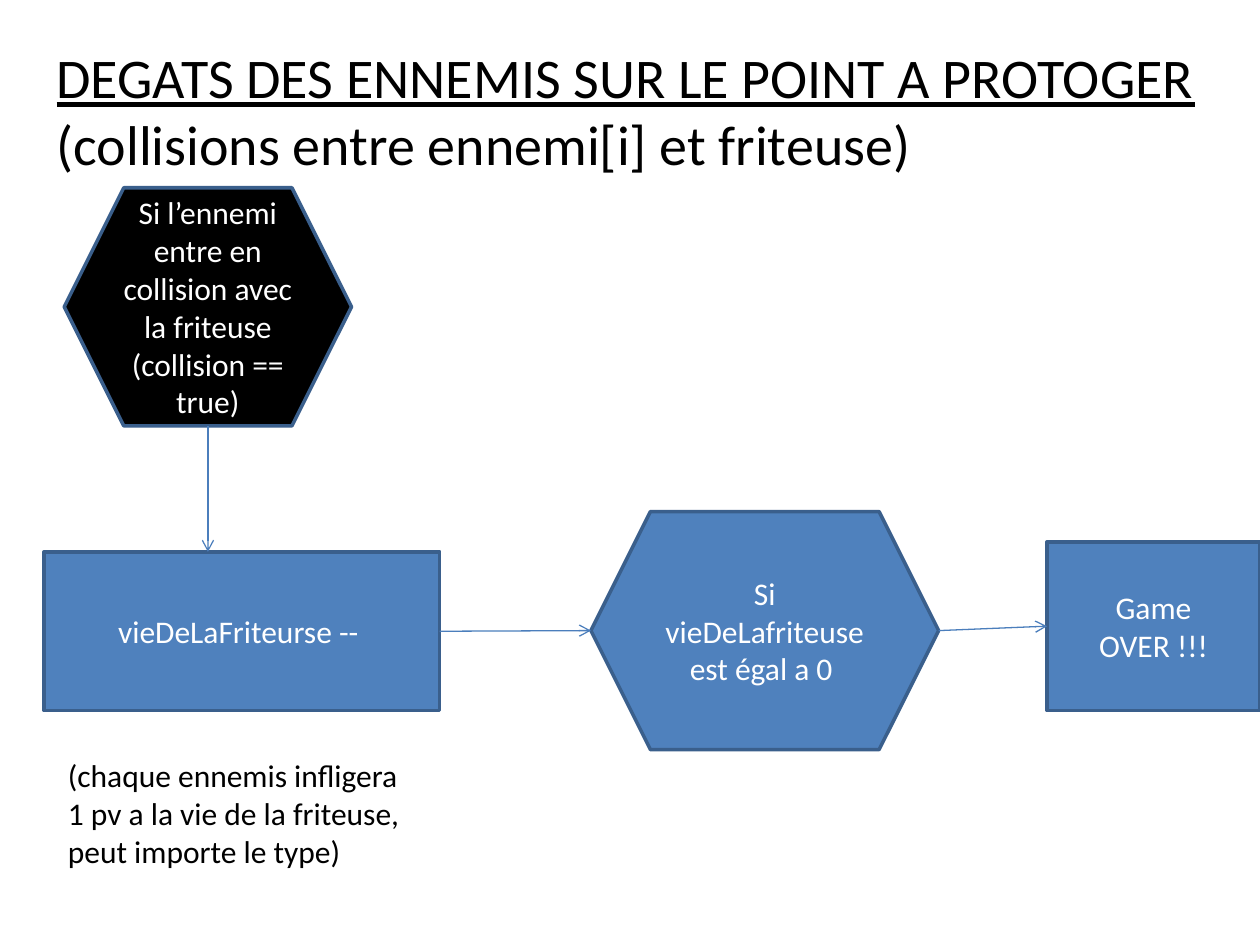
from pptx import Presentation
from pptx.util import Inches, Pt
from pptx.dml.color import RGBColor
from pptx.enum.shapes import MSO_SHAPE, MSO_CONNECTOR
from pptx.enum.text import PP_ALIGN, MSO_ANCHOR, MSO_AUTO_SIZE
from pptx.oxml.ns import qn
from lxml.etree import SubElement

BLUE, EDGE, LINK = "4F81BD", "3A5F8C", "4B7EBC"
HEX, RECT = MSO_SHAPE.HEXAGON, MSO_SHAPE.RECTANGLE

NODES = [
    (HEX, (0.51, 1.49, 2.28, 1.89), "000000",
     ["Si l’ennemi entre en collision avec la friteuse", "(collision == true)"]),
    (RECT, (0.35, 4.38, 3.14, 1.26), BLUE, ["vieDeLaFriteurse -- "]),
    (HEX, (4.69, 4.06, 2.76, 1.89), BLUE, ["Si vieDeLafriteuse est égal a 0 "]),
    (RECT, (8.31, 4.3, 1.69, 1.34), BLUE, ["Game OVER !!!"]),
]
TEXTS = [
    ((0.35, 0.29, 9.32, 1.18), 32, False,
     [("DEGATS DES ENNEMIS SUR LE POINT A PROTOGER", True),
      ("(collisions entre ennemi[i] et friteuse)", False)]),
    ((0.44, 5.95, 2.98, 1.01), 18, True,
     [("(chaque ennemis infligera 1 pv a la vie de la friteuse, "
       "peut importe le type)", False)]),
]


def color(code):
    return RGBColor.from_string(code)


def apply(item, **form):
    for key, val in form.items():
        setattr(item, key, val)


def write(frame, lines, size, ink, align):
    for i, (text, under) in enumerate(lines):
        para = frame.add_paragraph() if i else frame.paragraphs[0]
        para.alignment = align
        run = para.add_run()
        run.text = text
        apply(run.font, name="Calibri", size=Pt(size), underline=under)
        run.font.color.rgb = color(ink)


def node(kind, box, fill, lines):
    shape = slide.shapes.add_shape(kind, *map(Inches, box))
    shape.shadow.inherit = False
    shape.fill.solid()
    shape.fill.fore_color.rgb = color(fill)
    shape.line.color.rgb = color(EDGE)
    shape.line.width = Pt(2)
    apply(shape.text_frame, word_wrap=True, vertical_anchor=MSO_ANCHOR.MIDDLE)
    write(shape.text_frame, [(t, False) for t in lines], 18, "FFFFFF", PP_ALIGN.CENTER)


def arrow(start, end):
    link = slide.shapes.add_connector(
        MSO_CONNECTOR.STRAIGHT, *map(Inches, start + end))
    link.line.color.rgb = color(LINK)
    link.line.width = Pt(0.75)
    SubElement(link.line._get_or_add_ln(), qn("a:tailEnd"), type="arrow")
    SubElement(link._element.spPr, qn("a:effectLst"))


def label(box, size, wrap, lines):
    frame = slide.shapes.add_textbox(*map(Inches, box)).text_frame
    apply(frame, word_wrap=wrap, auto_size=MSO_AUTO_SIZE.SHAPE_TO_FIT_TEXT)
    write(frame, lines, size, "000000", PP_ALIGN.LEFT)


def left(box):
    return box[0], box[1] + box[3] / 2


def right(box):
    return box[0] + box[2], box[1] + box[3] / 2


deck = Presentation()
apply(deck, slide_width=Inches(10), slide_height=Inches(7.5))
slide = deck.slides.add_slide(deck.slide_layouts[6])

for part in NODES:
    node(*part)
for part in TEXTS:
    label(*part)

test, life, check, over = [part[1] for part in NODES]
mid = test[0] + test[2] / 2
arrow((mid, test[1] + test[3]), (mid, life[1]))
for a, b in ((life, check), (check, over)):
    arrow(right(a), left(b))

deck.save("out.pptx")
